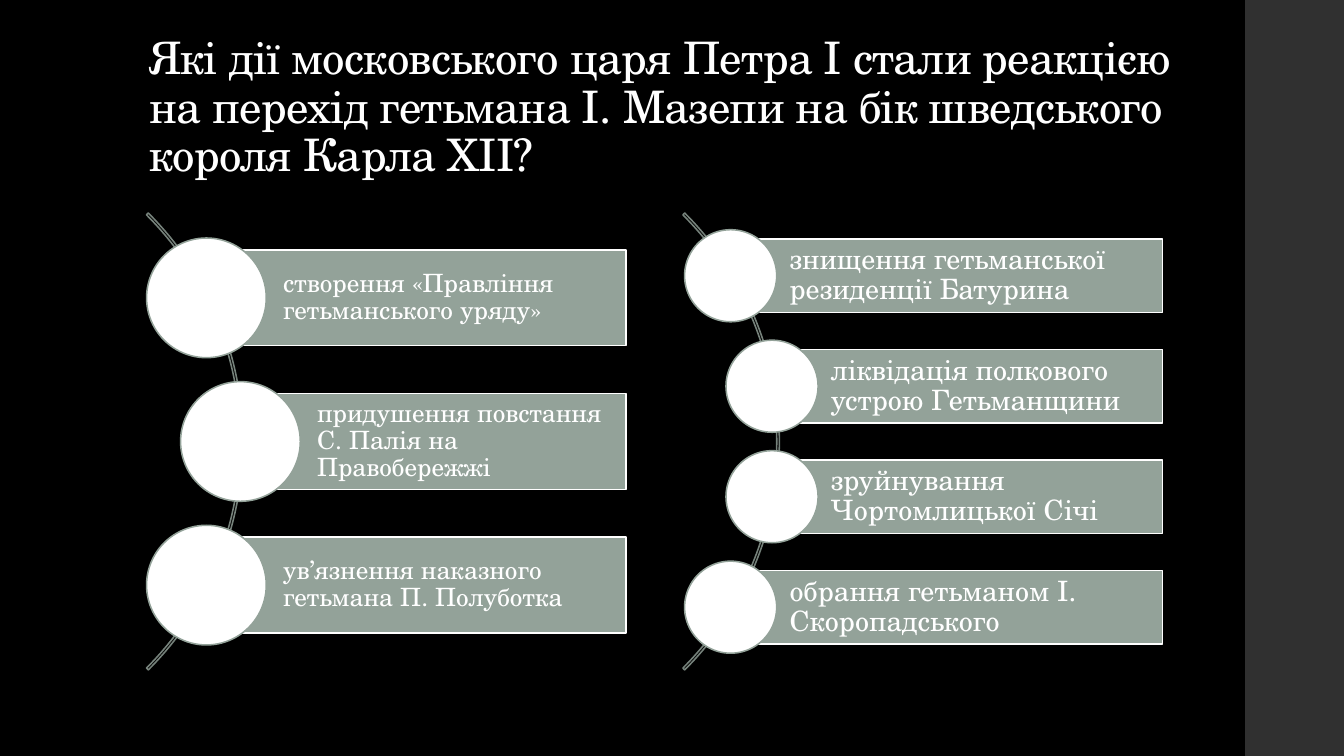
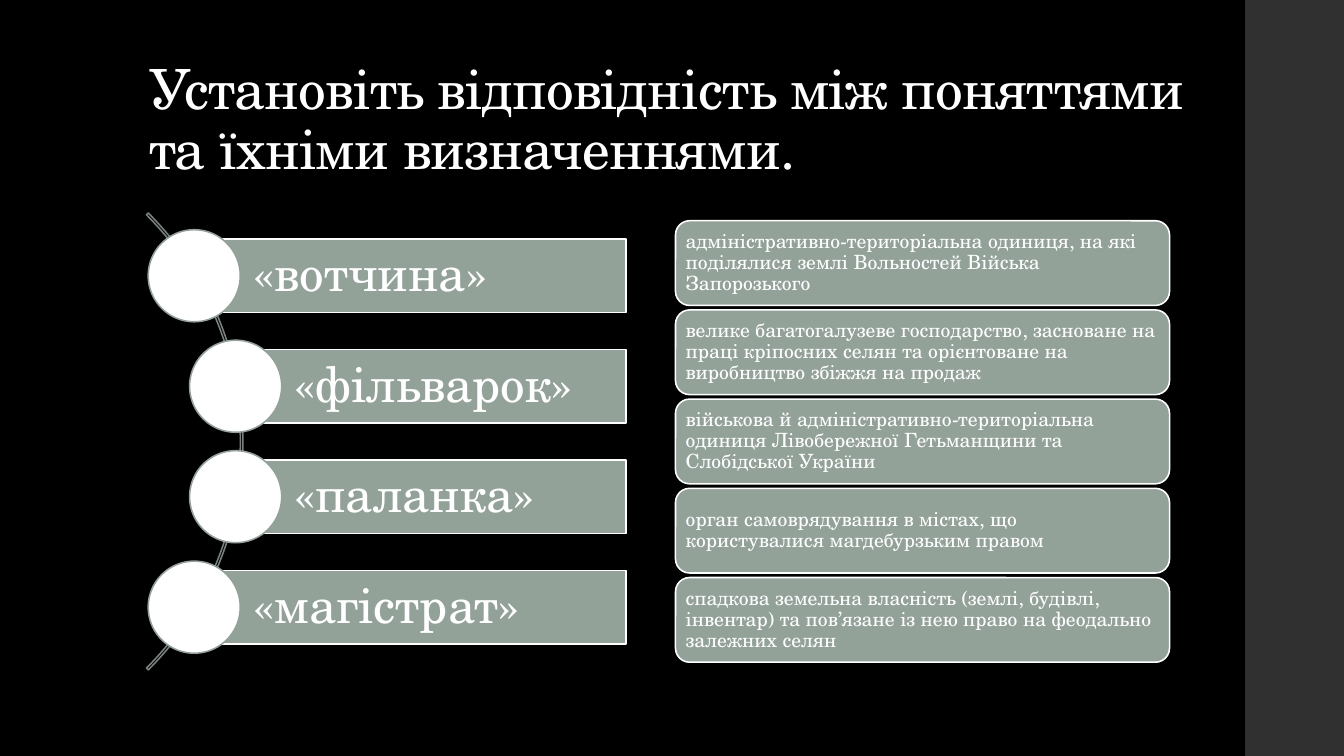
import math
from dataclasses import dataclass

import pptx
import pptx.dml.color
import pptx.enum.shapes
import pptx.enum.text
import pptx.util

Inches = pptx.util.Inches
Pt = pptx.util.Pt
SHAPE = pptx.enum.shapes.MSO_SHAPE
ANCHOR = pptx.enum.text.MSO_ANCHOR
ALIGN = pptx.enum.text.PP_ALIGN

COLORS = {
    "background": "000000",
    "sidebar": "303030",
    "bar": "93A299",
    "arc": "76827B",
    "white": "FFFFFF",
}
FONT = "TeX Gyre Schola"
LINE_WIDTH = 1.1
MIDDLE_Y = 4.38  # shared vertical centre of all lists
ARC_SIZE = 6.41
ORBIT = 3.18  # radius on which the circle centres lie
LIST_HEIGHT = 4.75
LIST_REACH = 10.21  # from the arc's left edge to the right end of the bars


@dataclass
class ArcList:
    arc_left: float
    size: float
    inset: float
    items: list[str]


@dataclass
class CardList:
    left: float
    width: float
    height: float
    pitch: float
    size: float
    inset: float
    items: list[str]


@dataclass
class Page:
    title: str
    title_size: float
    lists: list[ArcList | CardList]


PAGES = [
    Page(
        "Які дії московського царя Петра І стали реакцією на перехід "
        "гетьмана І. Мазепи на бік шведського короля Карла ХІІ?",
        32,
        [
            ArcList(-4, 18, 0.05, [
                "створення «Правління гетьманського уряду»",
                "придушення повстання С. Палія на Правобережжі",
                "ув’язнення наказного гетьмана П. Полуботка",
            ]),
            ArcList(1.32, 20, 0.06, [
                "знищення гетьманської резиденції Батурина",
                "ліквідація полкового устрою Гетьманщини",
                "зруйнування Чортомлицької Січі",
                "обрання гетьманом І. Скоропадського",
            ]),
        ],
    ),
    Page(
        "Установіть відповідність між поняттями та їхніми визначеннями.",
        39.6,
        [
            ArcList(-4, 35, 0.1, [
                "«вотчина»", "«фільварок»", "«паланка»", "«магістрат»",
            ]),
            CardList(6.7, 4.9, 0.84, 0.885, 14, 0.1, [
                "адміністративно-територіальна одиниця, на які поділялися "
                "землі Вольностей Війська Запорозького",
                "велике багатогалузеве господарство, засноване на праці "
                "кріпосних селян та орієнтоване на виробництво збіжжя на продаж",
                "військова й адміністративно-територіальна одиниця "
                "Лівобережної Гетьманщини та Слобідської України",
                "орган самоврядування в містах, що користувалися "
                "магдебурзьким правом",
                "спадкова земельна власність (землі, будівлі, інвентар) та "
                "пов’язане із нею право на феодально залежних селян",
            ]),
        ],
    ),
]


def rgb(name: str) -> pptx.dml.color.RGBColor:
    return pptx.dml.color.RGBColor.from_string(COLORS[name])


def set_all(target: object, values: dict) -> None:
    for name, value in values.items():
        setattr(target, name, value)


def add_shape(slide, kind, left: float, top: float, width: float, height: float,
              fill: str | None = None, line: str | None = None):
    sp = slide.shapes.add_shape(
        kind, Inches(left), Inches(top), Inches(width), Inches(height))
    sp.shadow.inherit = False
    if fill:
        sp.fill.solid()
        sp.fill.fore_color.rgb = rgb(fill)
    else:
        sp.fill.background()
    if line:
        sp.line.color.rgb = rgb(line)
        sp.line.width = Pt(LINE_WIDTH)
    else:
        sp.line.fill.background()
    return sp


def write(sp, text: str, size: float, anchor, insets: list[float]):
    """Fill a shape with one left-aligned paragraph; insets run left, top, right, bottom."""
    tf = sp.text_frame
    sides = ("margin_left", "margin_top", "margin_right", "margin_bottom")
    set_all(tf, {
        "word_wrap": True,
        "auto_size": pptx.enum.text.MSO_AUTO_SIZE.NONE,
        "vertical_anchor": anchor,
        **{side: Inches(inset) for side, inset in zip(sides, insets)},
    })
    p = tf.paragraphs[0]
    set_all(p, {"alignment": ALIGN.LEFT, "line_spacing": 0.9})
    r = p.add_run()
    r.text = text
    set_all(r.font, {"name": FONT, "size": Pt(size)})
    r.font.color.rgb = rgb("white")
    return r


def row_centers(count: int, pitch: float) -> list[float]:
    return [MIDDLE_Y + (i - (count - 1) / 2) * pitch for i in range(count)]


def draw_arc_list(slide, block: ArcList) -> None:
    """Draw bars whose circles follow an arc on the left."""
    arc = add_shape(slide, SHAPE.BLOCK_ARC, block.arc_left,
                    MIDDLE_Y - ARC_SIZE / 2, ARC_SIZE, ARC_SIZE, line="arc")
    for i, value in enumerate((189, 27, 0.004)):
        arc.adjustments[i] = value

    count = len(block.items)
    height = LIST_HEIGHT / (1.5 * count + 0.5)
    diameter = 1.25 * height
    right = block.arc_left + LIST_REACH
    for text, y in zip(block.items, row_centers(count, 1.5 * height)):
        x = (block.arc_left + ARC_SIZE / 2
             + math.sqrt(ORBIT ** 2 - (y - MIDDLE_Y) ** 2))
        bar = add_shape(slide, SHAPE.RECTANGLE, x, y - height / 2,
                        right - x, height, "bar", "white")
        write(bar, text, block.size, ANCHOR.MIDDLE,
              [0.8 * height] + [block.inset] * 3)
        add_shape(slide, SHAPE.OVAL, x - diameter / 2, y - diameter / 2,
                  diameter, diameter, "white", "bar")


def draw_card_list(slide, block: CardList) -> None:
    for text, y in zip(block.items, row_centers(len(block.items), block.pitch)):
        card = add_shape(slide, SHAPE.ROUNDED_RECTANGLE, block.left,
                         y - block.height / 2, block.width, block.height,
                         "bar", "white")
        # The preset already insets its text by the corner rounding.
        corner = 0.04
        write(card, text, block.size, ANCHOR.MIDDLE, [block.inset - corner] * 4)


def set_up_master(prs, layout) -> None:
    """Give the master its background and sidebar, the layout its title place."""
    master = prs.slide_master
    master.background.fill.solid()
    master.background.fill.fore_color.rgb = rgb("background")
    set_all(layout.placeholders[0], {
        "left": Inches(1.38), "top": Inches(0.4),
        "width": Inches(10.6), "height": Inches(1.45),
    })


def add_sidebar(prs, slide) -> None:
    """Shapes can only be made on a slide, so make it there and move it to the master."""
    sp = add_shape(slide, SHAPE.RECTANGLE, 12.35, 0, 1, 7.5, "sidebar")
    sp.element.nvSpPr.cNvPr.set("id", "20")
    prs.slide_master.shapes.element.insert(2, sp.element)


def main() -> None:
    prs = pptx.Presentation()
    set_all(prs, {"slide_width": Inches(13.33), "slide_height": Inches(7.5)})
    layout = prs.slide_layouts[5]
    set_up_master(prs, layout)
    draw = {ArcList: draw_arc_list, CardList: draw_card_list}

    for i, page in enumerate(PAGES):
        slide = prs.slides.add_slide(layout)
        if i == 0:
            add_sidebar(prs, slide)
        r = write(slide.shapes.title, page.title, page.title_size,
                  ANCHOR.BOTTOM, [0.1, 0.05, 0.1, 0.05])
        r.font._element.set("spc", "-50")
        for block in page.lists:
            draw[type(block)](slide, block)

    prs.save("out.pptx")


if __name__ == "__main__":
    main()
